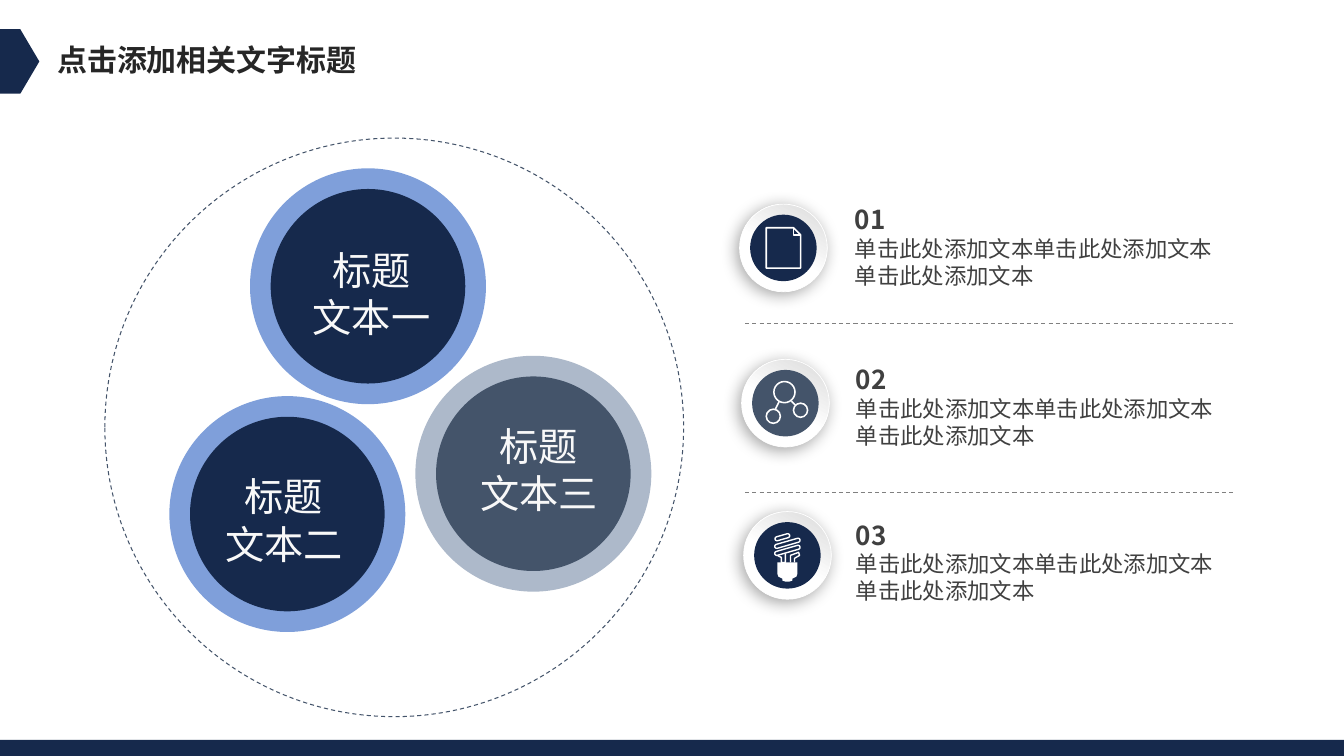
from dataclasses import dataclass

from lxml import etree
from pptx import Presentation
from pptx.dml.color import RGBColor
from pptx.enum.dml import MSO_LINE
from pptx.enum.shapes import MSO_CONNECTOR, MSO_SHAPE
from pptx.enum.text import MSO_AUTO_SIZE, PP_ALIGN
from pptx.oxml import parse_xml
from pptx.oxml.ns import nsdecls, qn
from pptx.util import Inches, Pt


@dataclass(frozen=True)
class Theme:
    """Colours, fonts and type sizes of the slide."""
    navy: str = "16294C"
    slate: str = "44546A"
    blue: str = "7F9FDA"
    mist: str = "ADB9CA"
    white: str = "FFFFFF"
    silver: str = "D9D9D9"
    rule: str = "808080"
    label: str = "F8F8F8"
    body: str = "404040"
    title: str = "262626"
    label_font: str = "Arial"
    text_font: str = "Noto Sans CJK SC"
    label_size: float = 28
    title_size: float = 21.4
    number_size: float = 18.6
    body_size: float = 16


THEME = Theme()


def color(value):
    """Turn a hex string into a colour."""
    return RGBColor.from_string(value)


def style_line(line, value, weight, dashed=False):
    """Set colour, weight and dash of a line."""
    line.color.rgb = color(value)
    line.width = Pt(weight)
    if dashed:
        line.dash_style = MSO_LINE.DASH


def style_shape(shape, fill=None, line=None, weight=0.75, dashed=False):
    """Set fill and line of a shape and remove its shadow."""
    shape.shadow.inherit = False
    if fill:
        shape.fill.solid()
        shape.fill.fore_color.rgb = color(fill)
    else:
        shape.fill.background()
    if line:
        style_line(shape.line, line, weight, dashed)
    else:
        shape.line.fill.background()


def add_preset(shapes, kind, left, top, width, height, **style):
    """Add a styled preset shape."""
    shape = shapes.add_shape(kind, Inches(left), Inches(top), Inches(width), Inches(height))
    style_shape(shape, **style)
    return shape


def add_circle(shapes, x, y, diameter, **style):
    """Add a circle around a centre point."""
    left, top = x - diameter / 2, y - diameter / 2
    return add_preset(shapes, MSO_SHAPE.OVAL, left, top, diameter, diameter, **style)


def add_line(shapes, start, end, value, weight=0.75, dashed=False):
    """Add a straight line without shadow."""
    points = [Inches(length) for length in (*start, *end)]
    connector = shapes.add_connector(MSO_CONNECTOR.STRAIGHT, *points)
    style_line(connector.line, value, weight, dashed)
    etree.SubElement(connector._element.spPr, qn("a:effectLst"))


def add_outline(shapes, x, y, points, close=True, **style):
    """Add a freeform through points given relative to a centre."""
    corners = [(Inches(x + dx), Inches(y + dy)) for dx, dy in points]
    builder = shapes.build_freeform(*corners[0])
    builder.add_line_segments(corners[1:], close=close)
    style_shape(builder.convert_to_shape(), **style)


def add_text(slide, left, top, width, height, lines, value, font_name, wrap=True, align=None):
    """Add a text box from (text, size, bold) lines."""
    box = slide.shapes.add_textbox(Inches(left), Inches(top), Inches(width), Inches(height))
    frame = box.text_frame
    frame.word_wrap = wrap
    frame.auto_size = MSO_AUTO_SIZE.SHAPE_TO_FIT_TEXT
    for index, (text, size, bold) in enumerate(lines):
        paragraph = frame.paragraphs[0] if index == 0 else frame.add_paragraph()
        paragraph.text = text
        paragraph.alignment = align
        paragraph.font.name = font_name
        paragraph.font.size = Pt(size)
        paragraph.font.bold = bold
        paragraph.font.color.rgb = color(value)
    return frame


def add_topic(slide, x, y, ring, core):
    """Add a ringed topic circle."""
    add_circle(slide.shapes, x, y, 2.34, fill=ring)
    add_circle(slide.shapes, x, y, 1.93, fill=core)


def add_topic_label(slide, left, top, text):
    """Add the two-line label of a topic."""
    lines = [(line, THEME.label_size, False) for line in ("标题", text)]
    frame = add_text(slide, left, top, 1.45, 1.08, lines, THEME.label,
                     THEME.label_font, False, PP_ALIGN.CENTER)
    frame.margin_left = frame.margin_right = Inches(0.13)
    frame.margin_top = frame.margin_bottom = Inches(0.07)


def add_shadow(shape):
    """Give a shape a soft shadow to the lower left."""
    properties = shape._element.spPr
    properties.remove(properties.find(qn("a:effectLst")))
    properties.append(parse_xml(
        f'<a:effectLst {nsdecls("a")}><a:outerShdw blurRad="{Pt(12)}" dist="{Pt(3)}" '
        'dir="8100000" algn="tr" rotWithShape="0"><a:srgbClr val="000000">'
        '<a:alpha val="34000"/></a:srgbClr></a:outerShdw></a:effectLst>'))


def draw_document(shapes, x, y):
    """Draw a page with a folded corner."""
    style = {"line": THEME.white, "weight": 1.1}
    page = [(-0.17, -0.2), (0.1, -0.2), (0.17, -0.13), (0.17, 0.2), (-0.17, 0.2)]
    add_outline(shapes, x, y, page, **style)
    add_outline(shapes, x, y, [(0.1, -0.2), (0.1, -0.13), (0.17, -0.13)], False, **style)


def draw_network(shapes, x, y):
    """Draw three linked nodes."""
    for dx, dy, diameter in ((-0.01, -0.11, 0.21), (-0.12, 0.13, 0.14), (0.15, 0.07, 0.14)):
        add_circle(shapes, x + dx, y + dy, diameter, line=THEME.white, weight=1.1)
    for start, end in (((-0.06, -0.02), (-0.1, 0.06)), ((0.06, -0.02), (0.1, 0.02))):
        add_line(shapes, (x + start[0], y + start[1]), (x + end[0], y + end[1]),
                 THEME.white, 1.1)


def draw_bulb(shapes, x, y):
    """Draw a spiral bulb on its base."""
    style = {"line": THEME.white, "weight": 1}
    for dx, dy, length in ((-0.05, -0.18, 0.15), (0, -0.12, 0.26), (0, -0.05, 0.26)):
        tube = add_preset(shapes, MSO_SHAPE.ROUNDED_RECTANGLE, x + dx - length / 2,
                          y + dy - 0.02, length, 0.04, **style)
        tube.adjustments[0] = 0.5
        tube.rotation = -16
    left_stem = [(-0.1, 0), (-0.06, 0.02), (-0.06, 0.07), (-0.02, 0.07), (-0.02, -0.02)]
    right_stem = [(0.03, 0.07), (0.03, 0), (0.11, -0.03), (0.12, 0), (0.07, 0.03), (0.07, 0.07)]
    for stem in (left_stem, right_stem):
        add_outline(shapes, x, y, stem, False, **style)
    half = [(0.1, 0.07), (0.1, 0.18), (0.09, 0.21), (0.05, 0.23), (0.05, 0.25), (0.02, 0.26)]
    base = half + [(-dx, dy) for dx, dy in reversed(half)]
    add_outline(shapes, x, y, base, fill=THEME.white)


def add_badge(slide, x, y, fill, draw_icon):
    """Add a round raised badge with its icon."""
    shapes = slide.shapes.add_group_shape().shapes
    rim = add_circle(shapes, x, y, 0.87, line=THEME.white, weight=0.5)
    rim.fill.gradient()
    rim.fill.gradient_angle = 60
    stops = ((0.45, THEME.white), (1, THEME.silver))
    for stop, (position, value) in zip(rim.fill.gradient_stops, stops):
        stop.position = position
        stop.color.rgb = color(value)
    add_shadow(rim)
    add_circle(shapes, x, y, 0.66, fill=fill)
    draw_icon(shapes, x, y)


def add_item(slide, left, top, number):
    """Add a numbered item text."""
    lines = [(number, THEME.number_size, True),
             ("单击此处添加文本单击此处添加文本", THEME.body_size, False),
             ("单击此处添加文本", THEME.body_size, False)]
    add_text(slide, left, top, 4.05, 0.95, lines, THEME.body, THEME.text_font)


def main():
    """Build and save the slide."""
    presentation = Presentation()
    presentation.slide_width, presentation.slide_height = Inches(13.33), Inches(7.5)
    slide = presentation.slides.add_slide(presentation.slide_layouts[6])
    shapes = slide.shapes
    add_circle(shapes, 3.91, 4.24, 5.74, line=THEME.slate, dashed=True)
    add_topic(slide, 2.85, 5.1, THEME.blue, THEME.navy)
    add_topic(slide, 5.29, 4.7, THEME.mist, THEME.slate)
    add_topic(slide, 3.65, 2.84, THEME.blue, THEME.navy)
    for left, top, text in ((2.96, 2.37, "文本一"), (2.09, 4.62, "文本二"), (4.62, 4.12, "文本三")):
        add_topic_label(slide, left, top, text)
    for left, top, number in ((8.38, 1.97, "01"), (8.39, 3.56, "02"), (8.39, 5.1, "03")):
        add_item(slide, left, top, number)
    for y in (3.21, 4.89):
        add_line(shapes, (7.39, y), (12.23, y), THEME.rule, dashed=True)
    add_badge(slide, 7.77, 2.46, THEME.navy, draw_document)
    add_badge(slide, 7.79, 4, THEME.slate, draw_network)
    add_badge(slide, 7.81, 5.51, THEME.navy, draw_bulb)
    marker = add_preset(shapes, MSO_SHAPE.PENTAGON, 0, 0.29, 0.39, 0.64, fill=THEME.navy)
    marker.adjustments[0] = 0.484
    add_text(slide, 0.47, 0.36, 3.2, 0.46, [("点击添加相关文字标题", THEME.title_size, True)],
             THEME.title, THEME.text_font, False)
    add_preset(shapes, MSO_SHAPE.RECTANGLE, 0, 7.34, 13.33, 0.16, fill=THEME.navy)
    presentation.save("out.pptx")


if __name__ == "__main__":
    main()
